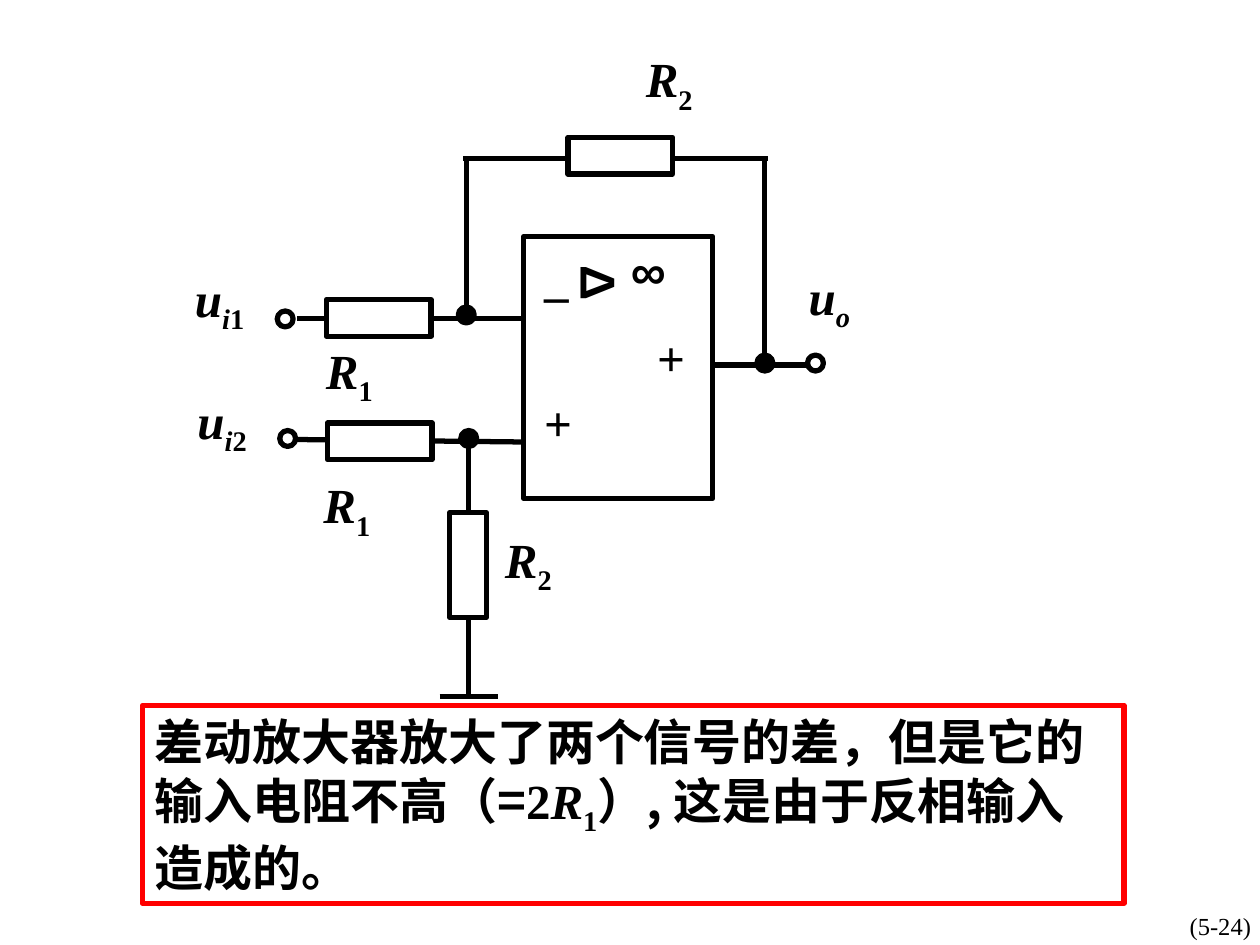
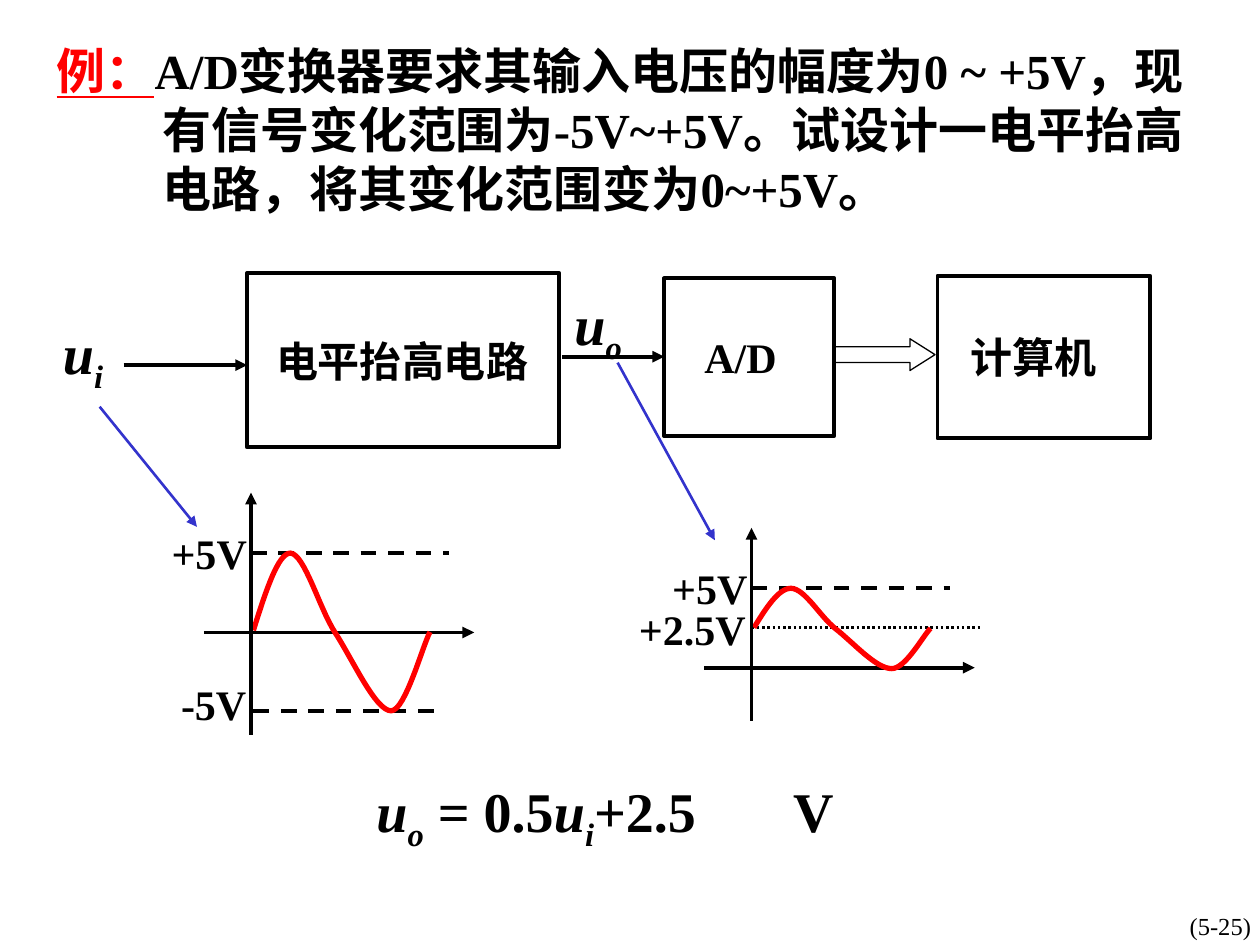
from lxml import etree
from pptx import Presentation
from pptx import util as u
from pptx.dml.color import RGBColor
from pptx.enum import dml, shapes, text
from pptx.oxml.ns import qn

COLOURS = {"ink": "000000", "paper": "FFFFFF", "accent": "FF0000", "pointer": "3333CC"}
SERIF, CHINESE = "Times New Roman", "Noto Sans CJK SC"
DASH, DOT = dml.MSO_LINE.DASH, dml.MSO_LINE.ROUND_DOT
WIRE, AXIS = 3, 2.25

ITALIC = {"italic": True}
SUB = {"subscript": True}
ITALIC_SUB = ITALIC | SUB
HAN = {"name": CHINESE}

# Cubic curve of one period, as fractions of the wave's width and height
WAVE_START = (0, 0.49)
WAVE_CURVES = [
    [(0.07, 0.24), (0.14, 0), (0.21, 0)],
    [(0.29, 0.01), (0.37, 0.34), (0.46, 0.5)],
    [(0.56, 0.67), (0.69, 1), (0.78, 1)],
    [(0.86, 1), (0.96, 0.58), (1, 0.5)],
]
STEPS = 16


def rgb(colour):
    return RGBColor.from_string(COLOURS[colour])


def box_cm(*lengths):
    return [u.Cm(length) for length in lengths]


def write(paragraph, runs, size, bold=True):
    """Add runs, given as one string or as (text, style) pairs."""
    if isinstance(runs, str):
        runs = [(runs, {})]
    for words, style in runs:
        run = paragraph.add_run()
        run.text = words
        values = {"name": SERIF, "size": u.Pt(size), "bold": bold} | style
        subscript = values.pop("subscript", False)
        run.font.color.rgb = rgb(values.pop("colour", "ink"))
        for name, value in values.items():
            setattr(run.font, name, value)
        properties = run.font._element
        etree.SubElement(properties, qn("a:ea"), typeface=CHINESE)
        if subscript:
            properties.set("baseline", "-25000")


def add_label(slide, left, top, width, height, runs, size, bold=True):
    label = slide.shapes.add_textbox(*box_cm(left, top, width, height))
    label.text_frame.word_wrap = True
    write(label.text_frame.paragraphs[0], runs, size, bold)
    return label


def add_box(slide, kind, left, top, width, height, weight, fill=None):
    shape = slide.shapes.add_shape(kind, *box_cm(left, top, width, height))
    shape.shadow.inherit = False
    if fill:
        shape.fill.solid()
        shape.fill.fore_color.rgb = rgb(fill)
    else:
        shape.fill.background()
    set_line(shape.line, weight)
    return shape


def set_line(line, weight, colour="ink", dash=None):
    line.color.rgb = rgb(colour)
    line.width = u.Pt(weight)
    if dash:
        line.dash_style = dash


def add_line(slide, x1, y1, x2, y2, weight, colour="ink", dash=None, arrow=False):
    connector = slide.shapes.add_connector(
        shapes.MSO_CONNECTOR.STRAIGHT, *box_cm(x1, y1, x2, y2))
    set_line(connector.line, weight, colour, dash)
    properties = connector._element.spPr
    if arrow:
        etree.SubElement(properties.find(qn("a:ln")), qn("a:tailEnd"), type="triangle")
    etree.SubElement(properties, qn("a:effectLst"))


def add_page_number(slide, number):
    label = add_label(slide, 20.19, 18.24, 5.28, 1.27, f"(5-{number})", 14, bold=False)
    label.text_frame.paragraphs[0].alignment = text.PP_ALIGN.RIGHT


def draw_circuit(slide, left, top):
    """Differential amplifier; all places below are relative to left, top."""
    rectangle, oval = shapes.MSO_SHAPE.RECTANGLE, shapes.MSO_SHAPE.OVAL
    add_box(slide, rectangle, left + 6.88, top + 3.91, 3.81, 5.28, WIRE)

    wires = [
        (10.69, 6.5, 12.6, 6.5),
        (2.31, 8, 6.88, 8.05),
        (2.31, 5.56, 6.93, 5.56),
        (5.66, 2.34, 11.81, 2.34),
        (11.73, 2.34, 11.73, 6.55),
        (5.72, 2.34, 5.72, 5.59),
        (5.77, 8, 5.77, 13.23),
        (5.18, 13.18, 6.35, 13.18),
    ]
    for x1, y1, x2, y2 in wires:
        add_line(slide, left + x1, top + y1, left + x2, top + y2, WIRE)

    resistors = [(7.77, 1.91, 0), (2.9, 5.18, 0), (2.92, 7.67, 0), (4.7, 10.16, 90)]
    for x, y, rotation in resistors:
        resistor = add_box(slide, rectangle, left + x, top + y, 2.11, 0.74, WIRE, "paper")
        resistor.rotation = rotation

    junctions = [(5.56, 5.33), (11.58, 6.3), (5.61, 7.82)]
    terminals = [(12.6, 6.3), (1.96, 7.82), (1.91, 5.41)]
    for places, fill in ((junctions, "ink"), (terminals, None)):
        for x, y in places:
            add_box(slide, oval, left + x, top + y, 0.32, 0.32, WIRE, fill)

    arial = {"name": "Arial"}
    signs = [
        (7.04, 4.01, 1.12, "_", {}, 0),
        (7.04, 6.93, 1.12, "+", {}, 0),
        (9.32, 5.61, 1.12, "+", {}, 0),
        (7.65, 4.27, 1.52, "Δ", arial, 90),
        (8.79, 3.86, 3.12, "∞", arial, 0),
    ]
    for x, y, width, sign, style, rotation in signs:
        label = add_label(slide, left + x, top + y, width, 1.45, [(sign, style)], 28)
        label.rotation = rotation

    r1 = [("R", ITALIC), ("1", SUB)]
    r2 = [("R", ITALIC), ("2", SUB)]
    input_name = [("u", ITALIC), ("i", ITALIC_SUB)]
    names = [
        (9.09, 0, r2),
        (2.64, 5.87, r1),
        (2.59, 8.59, r1),
        (6.25, 9.68, r2),
        (0, 4.42, input_name + [("1", SUB)]),
        (0.05, 6.88, input_name + [("2", SUB)]),
        (12.37, 4.39, [("u", ITALIC), ("o", ITALIC_SUB)]),
    ]
    for x, y, runs in names:
        add_label(slide, left + x, top + y, 2.34, 1.6, runs, 28)


def add_conclusion(slide, left, top, width, height):
    runs = [
        ("差动放大器放大了两个信号的差，但是它的输入电阻不高（=", HAN),
        ("2", {}), ("R", ITALIC), ("1", SUB),
        ("）, 这是由于反相输入造成的。", HAN),
    ]
    conclusion = add_label(slide, left, top, width, height, runs, 28)
    set_line(conclusion.line, WIRE, "accent")


def add_problem(slide, left, top, width, height):
    title = slide.shapes.title
    title.left, title.top, title.width, title.height = box_cm(left, top, width, height)
    frame = title.text_frame
    frame_format = {
        "word_wrap": True,
        "auto_size": text.MSO_AUTO_SIZE.NONE,
        "vertical_anchor": text.MSO_ANCHOR.TOP,
    }
    for name, value in frame_format.items():
        setattr(frame, name, value)
    paragraph = frame.paragraphs[0]
    paragraph.alignment = text.PP_ALIGN.LEFT
    hanging = u.Cm(2.13)
    properties = paragraph._p.get_or_add_pPr()
    properties.set("marL", str(hanging))
    properties.set("indent", str(-hanging))
    write(paragraph, [
        ("例：", {"colour": "accent", "underline": True}),
        ("A/D变换器要求其输入电压的幅度为0 ~ +5V，现有信号变化范围为-5V~+5V。"
         "试设计一电平抬高电路，将其变化范围变为0~+5V。", {}),
    ], 28)


def draw_signal_chain(slide, left, top):
    stages = [
        (3.96, 0, 6.3, 3.51, "电平抬高电路", 0.3),
        (12.37, 0.1, 3.43, 3.18, "A/D", 0.6),
        (17.88, 0.05, 4.29, 3.28, "计算机", 0.65),
    ]
    for x, y, width, height, name, right_margin in stages:
        stage = add_box(slide, shapes.MSO_SHAPE.RECTANGLE,
                        left + x, top + y, width, height, AXIS)
        frame = stage.text_frame
        frame.margin_right = u.Cm(right_margin)
        frame.vertical_anchor = text.MSO_ANCHOR.MIDDLE
        frame.paragraphs[0].alignment = text.PP_ALIGN.CENTER
        write(frame.paragraphs[0], name, 24)

    arrows = [
        (1.47, 1.85, 3.96, 1.85, AXIS, "ink"),
        (10.31, 1.68, 12.37, 1.68, AXIS, "ink"),
        (0.99, 2.69, 2.95, 5.11, 1.5, "pointer"),
        (11.43, 1.8, 13.39, 5.38, 1.5, "pointer"),
    ]
    for x1, y1, x2, y2, weight, colour in arrows:
        add_line(slide, left + x1, top + y1, left + x2, top + y2,
                 weight, colour, arrow=True)

    data_bus = add_box(slide, shapes.MSO_SHAPE.RIGHT_ARROW,
                       left + 15.82, top + 1.32, 2.01, 0.64, 0.75)
    data_bus.adjustments[0] = 0.5
    data_bus.adjustments[1] = 0.79

    for x, y, index in ((0, 0.79, "i"), (10.31, 0.2, "o")):
        add_label(slide, left + x, top + y, 1.7, 1.8,
                  [("u", ITALIC), (index, ITALIC_SUB)], 32)


def wave_points():
    """Sample the cubic curves of one period."""
    start = WAVE_START
    for first, second, end in WAVE_CURVES:
        for step in range(1, STEPS + 1):
            t = step / STEPS
            weights = ((1 - t) ** 3, 3 * t * (1 - t) ** 2, 3 * t * t * (1 - t), t ** 3)
            controls = (start, first, second, end)
            yield tuple(sum(w * point[axis] for w, point in zip(weights, controls))
                        for axis in (0, 1))
        start = end


def draw_plot(slide, left, top, height, wave_height, levels):
    """One period between axes; levels are (name, label x, label y, line, dash, weight)."""
    axis_x, zero, crest, wave_width = 0.95, 2.82, 1.22, 3.56
    for name, x, y, (x1, x2, line_y), dash, weight in levels:
        add_line(slide, left + x1, top + line_y, left + x2, top + line_y,
                 weight, dash=dash)
        add_label(slide, left + x, top + y, 2.8, 1.27, name, 24)
    add_line(slide, left, top + zero, left + 5.45, top + zero, AXIS, arrow=True)

    def place(point):
        return box_cm(left + 1 + point[0] * wave_width,
                      top + crest + point[1] * wave_height)

    builder = slide.shapes.build_freeform(*place(WAVE_START))
    builder.add_line_segments([place(point) for point in wave_points()], close=False)
    wave = builder.convert_to_shape()
    wave.shadow.inherit = False
    wave.fill.background()
    set_line(wave.line, WIRE, "accent")
    add_line(slide, left + axis_x, top + height, left + axis_x, top, AXIS, arrow=True)


def add_equation(slide, left, top, width, height):
    equation = add_label(slide, left, top, width, height, [
        ("u", ITALIC), ("o", ITALIC_SUB), (" = 0.5", {}),
        ("u", ITALIC), ("i", ITALIC_SUB), ("+2.5\tV", {}),
    ], 32)
    properties = equation.text_frame.paragraphs[0]._p.get_or_add_pPr()
    tabs = etree.SubElement(properties, qn("a:tabLst"))
    etree.SubElement(tabs, qn("a:tab"), pos=str(u.Cm(8.4)), algn="l")


def build_amplifier_slide(presentation):
    slide = presentation.slides.add_slide(presentation.slide_layouts[6])
    draw_circuit(slide, 3.68, 0.86)
    add_conclusion(slide, 2.87, 14.22, 19.79, 3.99)
    add_page_number(slide, 24)


def build_level_shift_slide(presentation):
    slide = presentation.slides.add_slide(presentation.slide_layouts[5])
    add_problem(slide, 0.89, 0.69, 23.72, 3.81)
    draw_signal_chain(slide, 1.02, 5.51)
    upper = ("+5V", -0.9, 0.58, (0.95, 4.95, 1.22), DASH, AXIS)
    lower = ("-5V", -0.71, 3.63, (1, 4.7, 4.4), DASH, AXIS)
    middle = ("+2.5V", -1.57, 1.4, (0.95, 5.6, 2.01), DOT, 1.5)
    draw_plot(slide, 4.11, 9.93, 4.88, 3.18, [upper, lower])
    draw_plot(slide, 14.2, 10.64, 3.89, 1.62, [upper, middle])
    add_equation(slide, 7.34, 15.52, 11, 1.8)
    add_page_number(slide, 25)


def main():
    presentation = Presentation()
    presentation.slide_width, presentation.slide_height = box_cm(25.4, 19.05)
    build_amplifier_slide(presentation)
    build_level_shift_slide(presentation)
    presentation.save("out.pptx")


if __name__ == "__main__":
    main()
